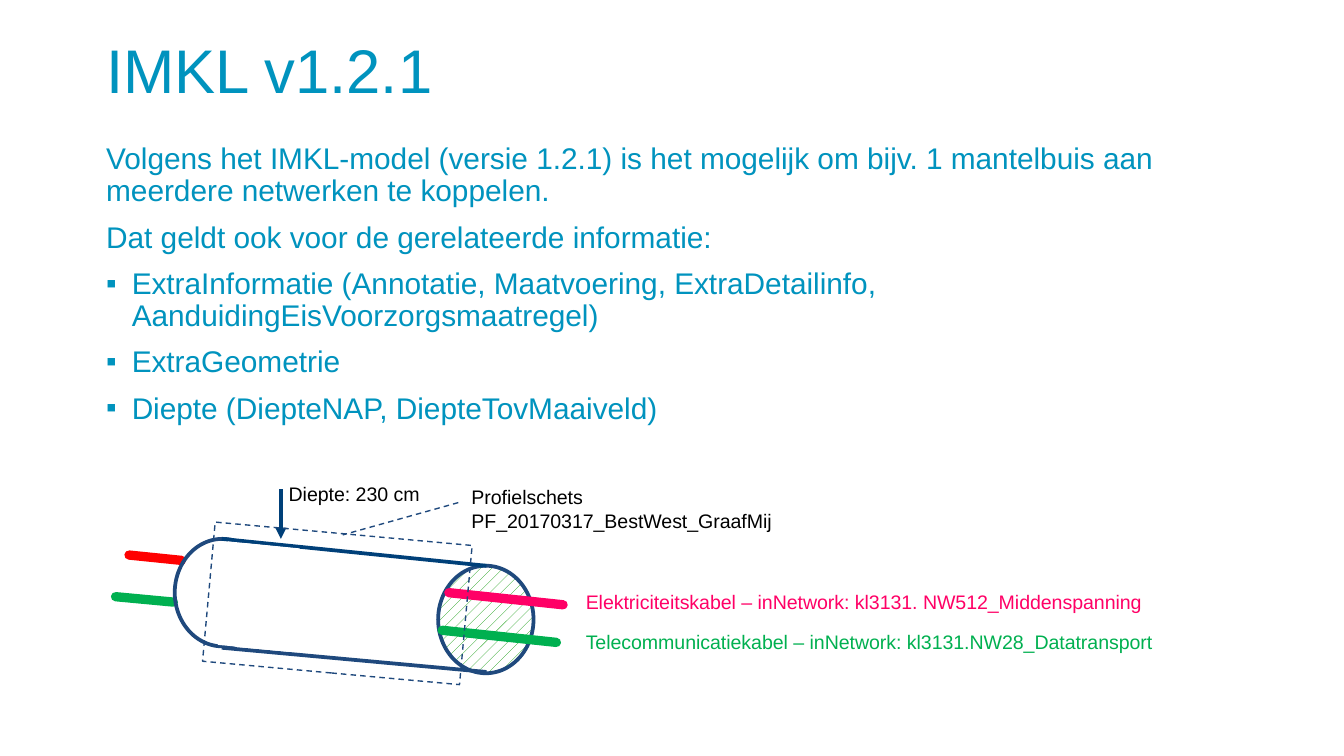
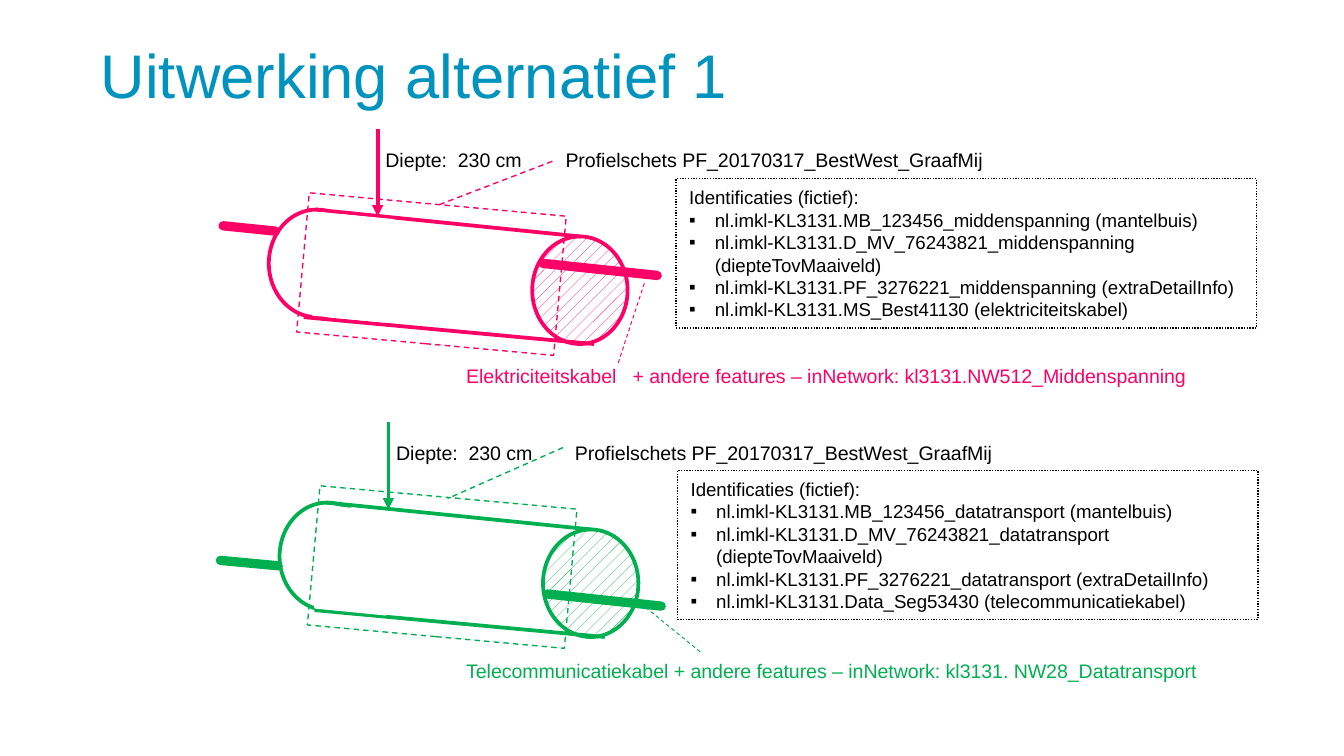
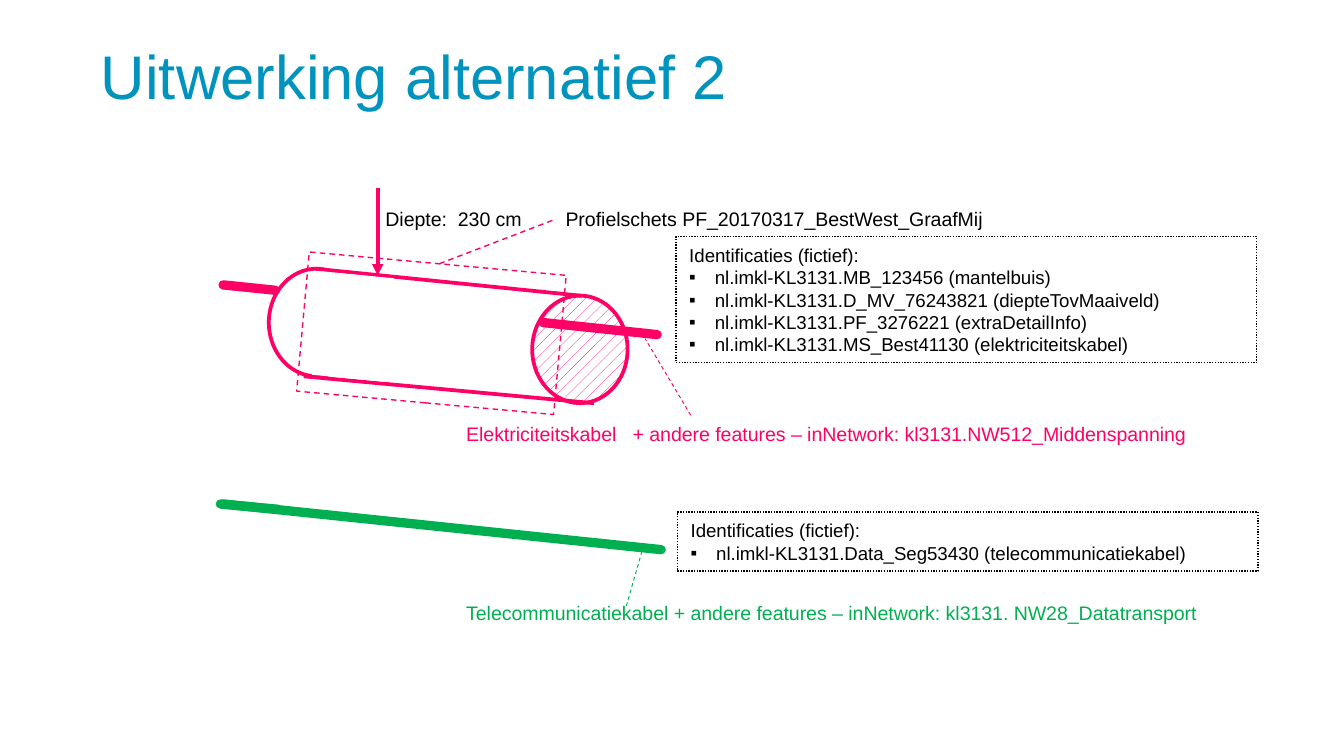
from lxml.etree import SubElement
from pptx import Presentation
from pptx.dml.color import RGBColor
from pptx.enum.dml import MSO_LINE as DASH, MSO_PATTERN as PATTERN
from pptx.enum.shapes import MSO_CONNECTOR as CONNECTOR, MSO_SHAPE as SHAPE
from pptx.enum.text import MSO_ANCHOR as ANCHOR, MSO_AUTO_SIZE as FIT, PP_ALIGN as ALIGN
from pptx.oxml.ns import qn
from pptx.util import Inches, Pt

SLIDE_WIDTH = Inches(10)
SLIDE_HEIGHT = SLIDE_WIDTH * 9 // 16
FONT = "Arial"
BLUE, NAVY, DEEP = "0093BE", "1F497D", "004079"
PINK, GREEN, RED, HATCH = "FF0066", "00B050", "FF0000", "079600"
BLACK, WHITE = "000000", "FFFFFF"

# Content
INTRO = [
    ("Volgens het IMKL-model (versie 1.2.1) is het mogelijk om bijv. 1 mantelbuis aan "
     "meerdere netwerken te koppelen.", False),
    ("Dat geldt ook voor de gerelateerde informatie:", False),
    ("ExtraInformatie (Annotatie, Maatvoering, ExtraDetailinfo, "
     "AanduidingEisVoorzorgsmaatregel)", True),
    ("ExtraGeometrie", True),
    ("Diepte (DiepteNAP, DiepteTovMaaiveld)", True),
]
PROFILE = "Profielschets PF_20170317_BestWest_GraafMij"
ID_HEADING = "Identificaties (fictief):"
POWER_NOTE = "Elektriciteitskabel   + andere features – inNetwork: kl3131.NW512_Middenspanning"
DATA_NOTE = "Telecommunicatiekabel + andere features – inNetwork: kl3131. NW28_Datatransport"
POWER_SEGMENT = "MS_Best41130 (elektriciteitskabel)"
DATA_SEGMENT = "Data_Seg53430 (telecommunicatiekabel)"
ID_KINDS = [("MB_123456", "mantelbuis"), ("D_MV_76243821", "diepteTovMaaiveld"),
            ("PF_3276221", "extraDetailInfo")]


def identifiers(segment, suffix=""):
    return [f"{code}{suffix} ({kind})" for code, kind in ID_KINDS] + [segment]


# Cable ends measured from the pipe's top left: stub behind it, piece in front
POWER_CABLE = (PINK, (-0.34, 0.12, 0.05, 0.16), (2.04, 0.4, 2.89, 0.49))
DATA_CABLE = (GREEN, (-0.44, 0.43, -0.01, 0.47), (1.99, 0.68, 2.84, 0.77))

# Depth arrow and labels, also measured from the pipe's top left
SHARED_PIPE = dict(
    arrow=(0.79, -0.37, 0.79, 0), leader=(2.11, -0.27, 1.25, -0.03),
    bottom=(0.35, 0.81, 2.32, 0.99), depth=("Diepte: 230 cm", 0.75, -0.47, 1.19),
    profile=(2.11, -0.45, 2.9, 0.45))
SINGLE_PIPE = dict(
    arrow=(0.81, -0.6, 0.81, 0.05), leader=(2.11, -0.36, 1.25, -0.03),
    bottom=(0.26, 0.8, 2.42, 1.0), depth=("Diepte:  230 cm", 0.77, -0.51, 1.23),
    profile=(2.11, -0.51, 3.53, 0.28))
DATA_PIPE = dict(SINGLE_PIPE, leader=(2.11, -0.41, 1.25, -0.03),
                 profile=(2.1, -0.51, 3.4, 0.28))


# Helpers
def rgb(value):
    return RGBColor.from_string(value)


def box(x, y, w, h):
    return Inches(x), Inches(y), Inches(w), Inches(h)


def stroke(line, color, width, dash=None):
    line.color.rgb = rgb(color)
    line.width = Pt(width)
    if dash:
        line.dash_style = dash


def connect(slide, ends, color, width, dash=None, origin=(0, 0), arrow=False):
    x, y = origin
    x1, y1, x2, y2 = ends
    link = slide.shapes.add_connector(CONNECTOR.STRAIGHT, Inches(x + x1), Inches(y + y1),
                                      Inches(x + x2), Inches(y + y2))
    stroke(link.line, color, width, dash)
    outline = link.line._get_or_add_ln()
    if width == 5:
        outline.set("cap", "rnd")
    if arrow:
        SubElement(outline, qn("a:tailEnd"), type="triangle")
    SubElement(link._element.spPr, qn("a:effectLst"))


def outline_shape(slide, kind, place, color, width, dash=None, fill=None, turn=0):
    shape = slide.shapes.add_shape(kind, *box(*place))
    shape.shadow.inherit = False
    shape.rotation = turn
    if fill:
        shape.fill.solid()
        shape.fill.fore_color.rgb = rgb(fill)
    else:
        shape.fill.background()
    stroke(shape.line, color, width, dash)
    return shape


def write(paragraph, text, size, color):
    paragraph.alignment = ALIGN.LEFT
    run = paragraph.add_run()
    run.text = text
    run.font.name, run.font.size = FONT, Pt(size)
    run.font.color.rgb = rgb(color)


def write_list(frame, items, size, color, spacing=None, before=0):
    for i, (text, bulleted) in enumerate(items):
        paragraph = frame.paragraphs[0] if i == 0 else frame.add_paragraph()
        write(paragraph, text, size, color)
        paragraph.line_spacing = spacing
        paragraph.space_before = Pt(before)
        props = paragraph._p.get_or_add_pPr()
        indent = Inches(0.19) if bulleted else 0
        props.set("marL", str(indent))
        props.set("indent", str(-indent))
        if bulleted:
            SubElement(SubElement(props, qn("a:buClr")), qn("a:srgbClr"), val=color)
            SubElement(props, qn("a:buFont"), typeface=FONT)
            SubElement(props, qn("a:buChar"), char="▪")
        else:
            SubElement(props, qn("a:buNone"))


def label(slide, text, x, y, w, h=0.28, color=BLACK):
    frame = slide.shapes.add_textbox(*box(x, y, w, h)).text_frame
    frame.word_wrap = True
    frame.auto_size = FIT.SHAPE_TO_FIT_TEXT
    write(frame.paragraphs[0], text, 10.5, color)


def id_box(slide, x, y, h, names):
    frame = outline_shape(slide, SHAPE.RECTANGLE, (x, y, 4.32, h), BLACK, 0.75,
                          DASH.ROUND_DOT).text_frame
    frame.word_wrap = True
    frame.auto_size = FIT.SHAPE_TO_FIT_TEXT
    items = [(ID_HEADING, False)] + [(f"nl.imkl-KL3131.{name}", True) for name in names]
    write_list(frame, items, 10, BLACK)


def place_holder(holder, place, anchor):
    holder.left, holder.top, holder.width, holder.height = box(*place)
    frame = holder.text_frame
    frame.word_wrap, frame.auto_size = True, FIT.NONE
    frame.vertical_anchor = anchor
    return frame


def start_slide(deck, layout, title, x, y):
    slide = deck.slides.add_slide(deck.slide_layouts[layout])
    heading = place_holder(slide.shapes.title, (x, y, 8.62, 1.09), ANCHOR.MIDDLE).paragraphs[0]
    heading.line_spacing = 0.9
    write(heading, title, 33, BLUE)
    return slide


def pipe(slide, x, y, cables, style, color, edge=None, hatch=None, stub=None, mask_x=0.36):
    """Draw a casing pipe with its cables, depth arrow, profile frame and labels."""
    origin, edge = (x, y), edge or color
    for i, (cable, behind, _) in enumerate(cables):
        connect(slide, behind, stub if stub and i == 0 else cable, 5, origin=origin)

    # Pipe ends and walls
    front = outline_shape(slide, SHAPE.OVAL, (x + 1.96, y + 0.2, 0.71, 0.8), color, 2)
    front.fill.patterned()
    front.fill.pattern = PATTERN.PERCENT_20
    front.fill.fore_color.rgb = rgb(hatch or color)
    front.fill.back_color.rgb = rgb(WHITE)
    outline_shape(slide, SHAPE.OVAL, (x, y, 0.71, 0.8), color, 2)
    connect(slide, (0.35, 0, 2.32, 0.2), edge, 2, origin=origin)
    connect(slide, style["bottom"], color, 2, origin=origin)
    for cable, _, ahead in cables:
        connect(slide, ahead, cable, 5, origin=origin)

    # Depth and profile
    connect(slide, style["arrow"], edge, 2, origin=origin, arrow=True)
    text, dx, dy, width = style["depth"]
    label(slide, text, x + dx, y + dy, width)
    dx, dy, width, height = style["profile"]
    label(slide, PROFILE, x + dx, y + dy, width, height)
    connect(slide, style["leader"], color, 0.75, DASH.DASH, origin)
    outline_shape(slide, SHAPE.RECTANGLE, (x + 0.25, y - 0.04, 1.92, 1.04), color, 0.75,
                  DASH.DASH, turn=5.2)

    # Hides the inner half of the back end
    outline_shape(slide, SHAPE.RECTANGLE, (x + mask_x, y + 0.05, 0.53, 0.76), WHITE, 1,
                  fill=WHITE, turn=5.6)


def build_model(deck):
    slide = start_slide(deck, 1, "IMKL v1.2.1", 0.69, 0)
    body = place_holder(slide.placeholders[1], (0.69, 1.02, 8.63, 2.36), ANCHOR.TOP)
    write_list(body, INTRO, 16, BLUE, 0.9, 7.5)
    pipe(slide, 1.3, 4.01, [POWER_CABLE, DATA_CABLE], SHARED_PIPE, NAVY, DEEP, HATCH, RED)
    label(slide, "Elektriciteitskabel – inNetwork: kl3131. NW512_Middenspanning",
          4.26, 4.34, 4.61, color=PINK)
    label(slide, "Telecommunicatiekabel – inNetwork: kl3131.NW28_Datatransport",
          4.26, 4.64, 4.78, color=GREEN)


def build_two_pipes(deck):
    slide = start_slide(deck, 5, "Uitwerking alternatief 1", 0.65, 0.04)
    pipe(slide, 2.08, 3.74, [DATA_CABLE], DATA_PIPE, GREEN, mask_x=0.3)
    label(slide, DATA_NOTE, 3.37, 4.85, 5.82, 0.45, GREEN)
    connect(slide, (5.21, 4.85, 4.78, 4.5), GREEN, 0.5, DASH.DASH)
    id_box(slide, 5.04, 3.5, 1.11, identifiers(DATA_SEGMENT, "_datatransport"))
    pipe(slide, 2, 1.56, [POWER_CABLE], SINGLE_PIPE, PINK)
    label(slide, POWER_NOTE, 3.37, 2.66, 5.82, color=PINK)
    connect(slide, (4.6, 2.7, 4.8, 2.09), PINK, 0.5, DASH.DASH)
    id_box(slide, 5.03, 1.33, 1.11, identifiers(POWER_SEGMENT, "_middenspanning"))


def build_one_pipe(deck):
    slide = start_slide(deck, 5, "Uitwerking alternatief 2", 0.65, 0.05)
    for piece in [(1.64, 3.75, 2.07, 3.79), (1.66, 3.75, 4.92, 4.09)]:
        connect(slide, piece, GREEN, 5)
    label(slide, DATA_NOTE, 3.37, 4.42, 5.82, 0.45, GREEN)
    connect(slide, (4.66, 4.51, 4.78, 4.09), GREEN, 0.5, DASH.DASH)
    id_box(slide, 5.04, 3.81, 0.44, [DATA_SEGMENT])
    pipe(slide, 2, 2, [POWER_CABLE], SINGLE_PIPE, PINK)
    label(slide, POWER_NOTE, 3.37, 3.09, 5.82, color=PINK)
    connect(slide, (5.14, 3.09, 4.8, 2.52), PINK, 0.5, DASH.DASH)
    id_box(slide, 5.03, 1.76, 0.94, identifiers(POWER_SEGMENT))


def main():
    deck = Presentation()
    deck.slide_width, deck.slide_height = SLIDE_WIDTH, SLIDE_HEIGHT
    for build in (build_model, build_two_pipes, build_one_pipe):
        build(deck)
    deck.save("out.pptx")


if __name__ == "__main__":
    main()
